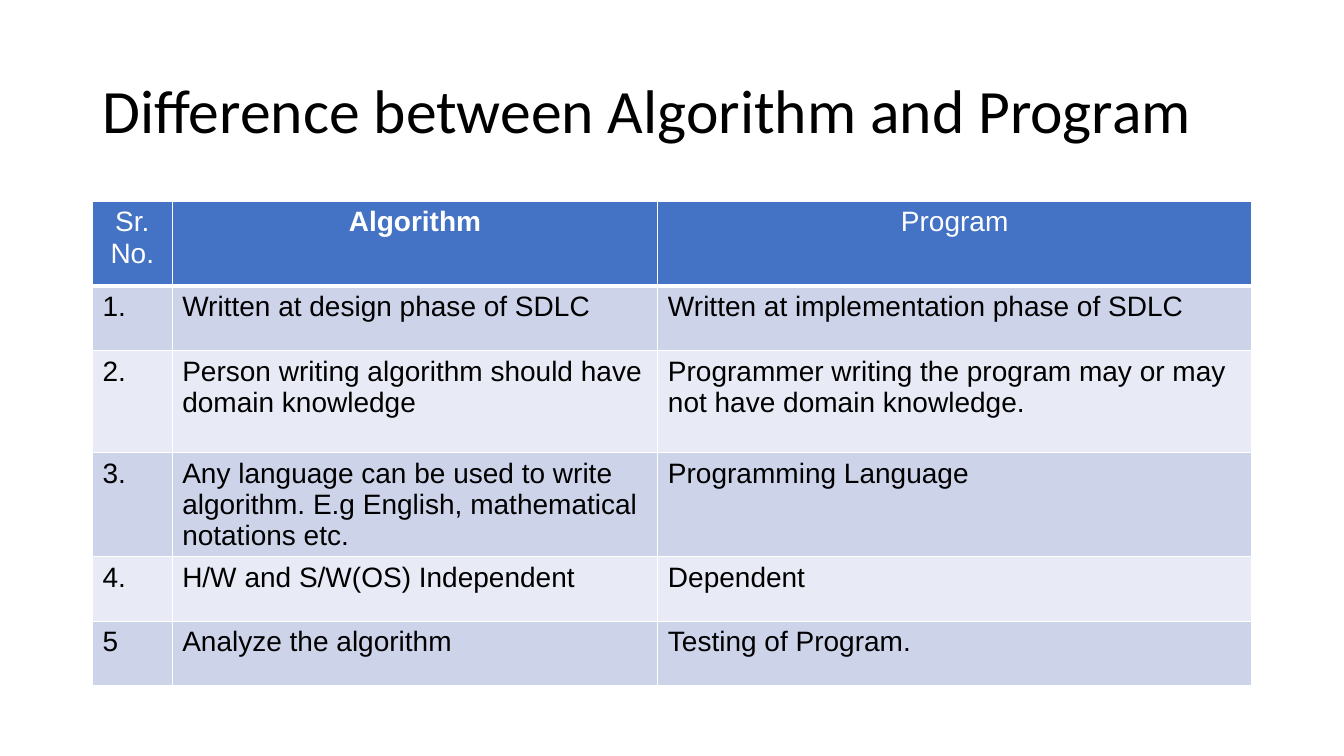
from dataclasses import dataclass

from lxml.etree import SubElement
from pptx import Presentation
from pptx.dml.color import RGBColor
from pptx.enum.text import MSO_ANCHOR, MSO_AUTO_SIZE, PP_ALIGN
from pptx.oxml.ns import qn
from pptx.slide import Slide
from pptx.table import _Cell
from pptx.text.text import _Paragraph
from pptx.util import Cm, Pt


@dataclass(frozen=True)
class Theme:
    title_font: str = "Calibri"
    table_font: str = "Arial"
    title_size: int = 44
    table_size: int = 20
    text: str = "000000"
    header_text: str = "FFFFFF"
    header_fill: str = "4472C4"
    bands: tuple[str, str] = ("CDD4EA", "E8EBF5")
    border: str = "FFFFFF"
    thin: int = 1
    thick: int = 3


@dataclass(frozen=True)
class ComparisonRow:
    number: str
    algorithm: str
    program: str
    height: float

    @property
    def texts(self) -> tuple[str, str, str]:
        return self.number, self.algorithm, self.program


THEME = Theme()
LEFT, WIDTH = 2.33, 29.21
TABLE_TOP = 5.08
COLUMN_WIDTHS = (2.01, 12.24, 14.96)
HEADER_BOLD = (False, True, False)
ROWS = (
    ComparisonRow("Sr. No.", "Algorithm", "Program", 2.13),
    ComparisonRow("1.", "Written at design phase of SDLC",
                  "Written at implementation phase of SDLC", 1.63),
    ComparisonRow("2.", "Person writing algorithm should have domain knowledge",
                  "Programmer writing the program may or may not have domain knowledge.", 2.57),
    ComparisonRow("3.", "Any language can be used to write algorithm. "
                  "E.g English, mathematical notations etc.",
                  "Programming Language", 2.57),
    ComparisonRow("4.", "H/W and S/W(OS) Independent", "Dependent", 1.63),
    ComparisonRow("5", "Analyze the algorithm", "Testing of Program.", 1.63),
)


def apply_format(target: object, values: dict[str, object]) -> None:
    for name, value in values.items():
        setattr(target, name, value)


def write_text(paragraph: _Paragraph, text: str, color: str, values: dict[str, object]) -> None:
    run = paragraph.add_run()
    run.text = text
    apply_format(run.font, values)
    run.font.color.rgb = RGBColor.from_string(color)


def set_borders(cell: _Cell, widths: dict[str, int]) -> None:
    """Add the side lines; call before the fill, which must follow them in the XML."""
    properties = cell._tc.get_or_add_tcPr()
    for side, width in widths.items():
        line = SubElement(properties, qn(f"a:ln{side}"), w=str(Pt(width)))
        fill = SubElement(line, qn("a:solidFill"))
        SubElement(fill, qn("a:srgbClr"), val=THEME.border)


def add_title(slide: Slide, text: str) -> None:
    title = slide.shapes.title
    apply_format(title, {"left": Cm(LEFT), "top": Cm(1.01),
                         "width": Cm(WIDTH), "height": Cm(3.68)})
    apply_format(title.text_frame, {"word_wrap": True, "auto_size": MSO_AUTO_SIZE.NONE,
                                    "vertical_anchor": MSO_ANCHOR.MIDDLE})
    paragraph = title.text_frame.paragraphs[0]
    apply_format(paragraph, {"alignment": PP_ALIGN.LEFT, "line_spacing": 0.9})
    write_text(paragraph, text, THEME.text,
               {"name": THEME.title_font, "size": Pt(THEME.title_size)})


def fill_cell(cell: _Cell, text: str, row: int, column: int) -> None:
    is_header = row == 0
    set_borders(cell, {"L": THEME.thin, "R": THEME.thin,
                       "T": THEME.thick if row == 1 else THEME.thin,
                       "B": THEME.thick if is_header else THEME.thin})
    cell.fill.solid()
    fill_color = THEME.header_fill if is_header else THEME.bands[(row - 1) % 2]
    cell.fill.fore_color.rgb = RGBColor.from_string(fill_color)
    paragraph = cell.text_frame.paragraphs[0]
    paragraph.alignment = PP_ALIGN.CENTER if is_header else PP_ALIGN.LEFT
    write_text(paragraph, text, THEME.header_text if is_header else THEME.text,
               {"name": THEME.table_font, "size": Pt(THEME.table_size),
                "bold": is_header and HEADER_BOLD[column]})


def add_comparison_table(slide: Slide) -> None:
    height = sum(row.height for row in ROWS)
    table = slide.shapes.add_table(len(ROWS), len(COLUMN_WIDTHS), Cm(LEFT), Cm(TABLE_TOP),
                                   Cm(WIDTH), Cm(height)).table
    for column, width in zip(table.columns, COLUMN_WIDTHS):
        column.width = Cm(width)
    for row_index, row in enumerate(ROWS):
        table.rows[row_index].height = Cm(row.height)
        for column_index, text in enumerate(row.texts):
            fill_cell(table.cell(row_index, column_index), text, row_index, column_index)


def main() -> None:
    presentation = Presentation()
    apply_format(presentation, {"slide_width": Cm(33.87), "slide_height": Cm(19.05)})
    slide = presentation.slides.add_slide(presentation.slide_layouts.get_by_name("Title Only"))
    add_title(slide, "Difference between Algorithm and Program")
    add_comparison_table(slide)
    presentation.save("out.pptx")


if __name__ == "__main__":
    main()
